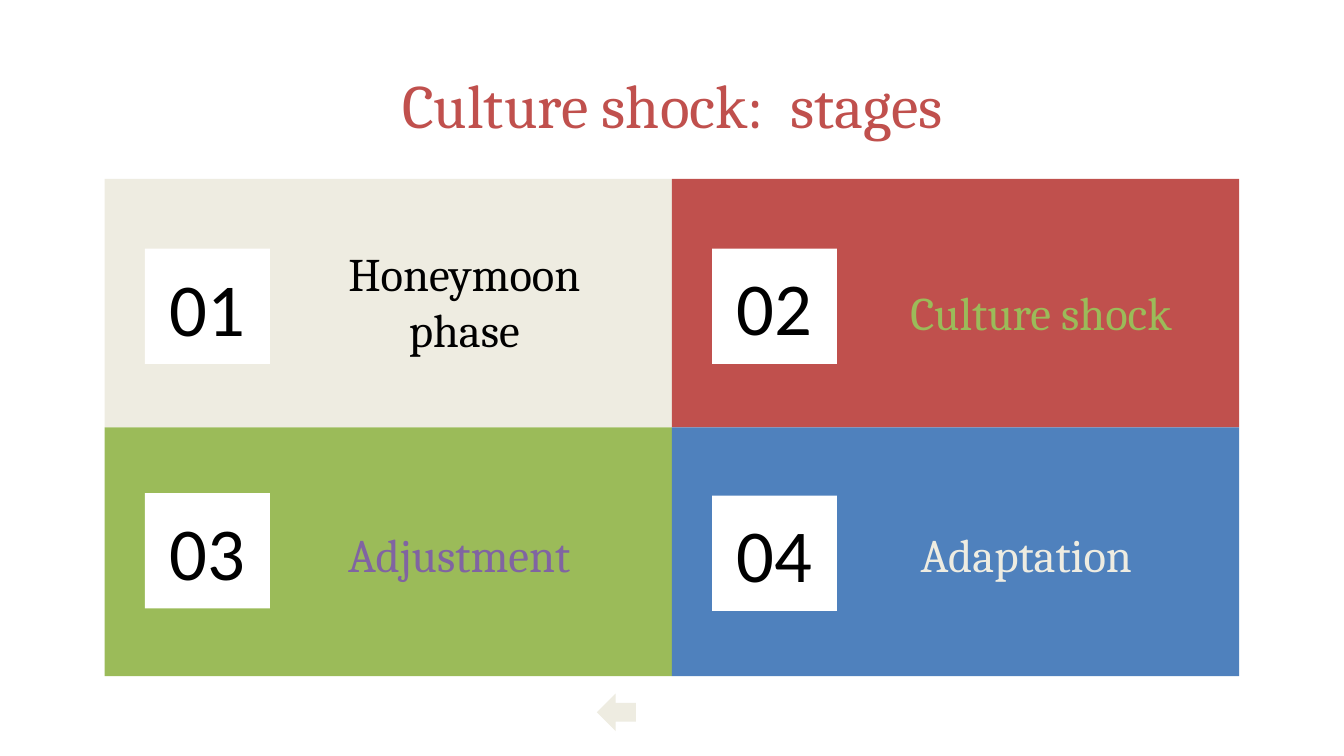
from pptx import Presentation
from pptx.dml.color import RGBColor
from pptx.enum.shapes import MSO_SHAPE
from pptx.enum.text import MSO_ANCHOR, MSO_AUTO_SIZE, PP_ALIGN
from pptx.util import Cm, Pt

RED = RGBColor(0xC0, 0x50, 0x4D)
BLUE = RGBColor(0x4F, 0x81, 0xBD)
CREAM = RGBColor(0xEE, 0xEC, 0xE1)
GREEN = RGBColor(0x9B, 0xBB, 0x59)
PURPLE = RGBColor(0x80, 0x64, 0xA2)
BLACK = RGBColor(0, 0, 0)
WHITE = RGBColor(255, 255, 255)

LEFT, TOP = 1.98, 3.38
WIDE, HIGH = 10.72, 4.7

STAGES = [
    ("01", "Honeymoon phase", CREAM, BLACK, 1.32, 3.58, 1.57),
    ("02", "Culture shock", RED, GREEN, 1.32, 3.76, 1.78),
    ("03", "Adjustment ", GREEN, PURPLE, 1.24, 3.58, 1.65),
    ("04", "Adaptation ", BLUE, CREAM, 1.29, 3.58, 1.65),
]


def add_block(slide, kind, x, y, w, h, fill):
    block = slide.shapes.add_shape(kind, Cm(x), Cm(y), Cm(w), Cm(h))
    block.shadow.inherit = False
    block.fill.solid()
    block.fill.fore_color.rgb = fill
    block.line.fill.background()
    return block


def write(shape, text, size, font, color, anchor=MSO_ANCHOR.MIDDLE):
    frame = shape.text_frame
    frame.word_wrap = True
    frame.auto_size = MSO_AUTO_SIZE.NONE
    frame.vertical_anchor = anchor
    frame.margin_left = frame.margin_right = Cm(0.25)
    frame.margin_top = frame.margin_bottom = Cm(0.25)
    para = frame.paragraphs[0]
    para.alignment = PP_ALIGN.CENTER
    run = para.add_run()
    run.text = text
    run.font.size = Pt(size)
    run.font.name = font
    run.font.color.rgb = color


def set_title(slide):
    title = slide.shapes.title
    title.left, title.top = Cm(2), Cm(1.02)
    title.width, title.height = Cm(21.42), Cm(1.6)
    write(title, "Culture shock:  stages", 33, "Cambria", RED, MSO_ANCHOR.TOP)


def add_stage(slide, index, stage):
    number, name, fill, color, drop, label_x, label_y = stage
    row, col = divmod(index, 2)
    x, y = LEFT + col * WIDE, TOP + row * HIGH
    add_block(slide, MSO_SHAPE.RECTANGLE, x, y, WIDE, HIGH, fill)
    label = slide.shapes.add_textbox(
        Cm(x + label_x), Cm(y + label_y), Cm(6.43), Cm(1.47))
    write(label, name, 25, "Cambria", color)
    badge = add_block(slide, MSO_SHAPE.RECTANGLE,
                      x + 0.76, y + drop, 2.36, 2.18, WHITE)
    anchor = MSO_ANCHOR.BOTTOM if col else MSO_ANCHOR.MIDDLE
    write(badge, number, 40, "Calibri", BLACK, anchor)


def main():
    deck = Presentation()
    deck.slide_width, deck.slide_height = Cm(25.4), Cm(14.29)
    slide = deck.slides.add_slide(deck.slide_layouts[5])
    set_title(slide)
    for index, stage in enumerate(STAGES):
        add_stage(slide, index, stage)
    add_block(slide, MSO_SHAPE.LEFT_ARROW, 11.28, 13.11, 0.74, 0.71, CREAM)
    deck.save("out.pptx")


if __name__ == "__main__":
    main()
